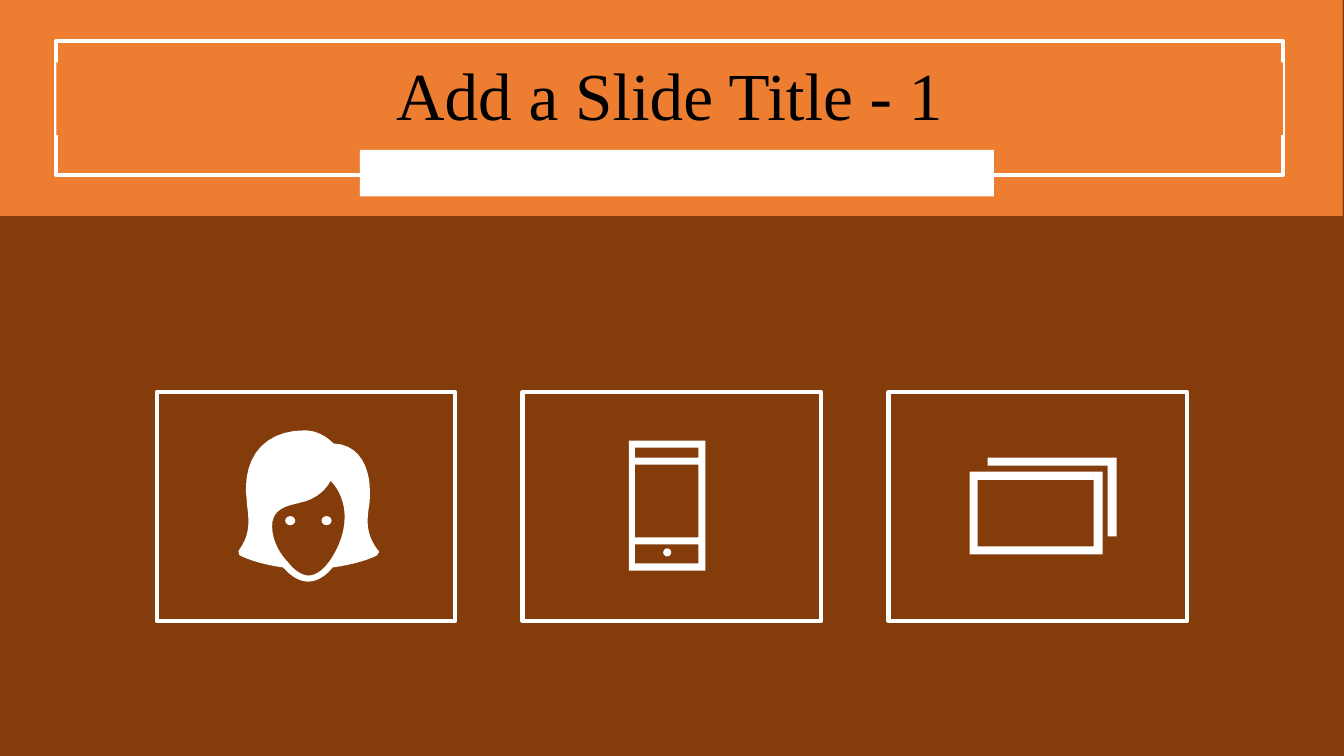
"""Build a title slide with three framed icons."""
import pptx
import pptx.util
import pptx.dml.color
import pptx.enum.shapes
import pptx.enum.text

Cm, Pt = pptx.util.Cm, pptx.util.Pt
SHAPE = pptx.enum.shapes.MSO_SHAPE

TITLE = "Add a Slide Title - 1"
FONT = "Times New Roman"
WHITE, BLACK, ORANGE, BROWN = "FFFFFF", "000000", "ED7D31", "843C0B"

BAND = (-0.02, 0, 33.86, 5.44)
BAR = (9.07, 3.78, 15.98, 1.17)
TITLE_FRAME = (1.42, 1.04, 30.91, 3.38)
TITLE_BOX = (1.42, 1.57, 30.91, 1.83)
CARD = (3.95, 9.88, 7.52, 5.77)
CARD_COUNT, CARD_PITCH = 3, 9.22

ICON_UNIT = 0.0254
CURVE_STEPS = 10
HAIR = [
    (302, 427),
    (266, 427, 244, 449, 244, 485), (244, 490, 245, 495, 245, 500),
    (247, 515, 249, 530, 237, 546), (237, 547, 236, 547, 237, 548),
    (237, 549, 237, 550, 238, 551), (238, 551, 252, 559, 281, 563),
    (289, 572, 297, 577, 306, 577), (314, 577, 323, 572, 330, 563),
    (360, 559, 374, 551, 374, 551), (375, 550, 375, 549, 376, 548),
    (376, 547, 376, 546, 375, 546), (363, 530, 364, 517, 366, 503),
    (367, 498, 367, 493, 367, 487), (367, 466, 358, 441, 331, 440),
    (320, 429, 309, 427, 302, 427),
]
FACE = [
    (328, 477),
    (333, 482, 342, 494, 342, 513), (342, 538, 326, 558, 326, 558),
    (320, 566, 313, 571, 306, 571), (300, 571, 292, 566, 286, 558),
    (286, 558, 270, 543, 270, 522), (270, 505, 284, 502, 297, 499),
    (299, 498, 302, 498, 304, 497), (318, 492, 325, 483, 328, 477),
]
DOTS = [(283, 512, 10, 9), (319, 512, 10, 9), (658, 544, 8, 8)]
PHONE = [(624, 437, 700, 566), (630, 444, 693, 454),
         (630, 461, 693, 533), (630, 540, 693, 559)]
FRONT_CARD = [(962, 468, 1094, 550), (970, 476, 1085, 542)]
BACK_CARD = [(1108, 532), (1099, 532), (1099, 462),
             (980, 462), (980, 454), (1108, 454)]


def rgb(color):
    return pptx.dml.color.RGBColor.from_string(color)


def style(sp, fill=None, line=None):
    sp.shadow.inherit = False
    if fill:
        sp.fill.solid()
        sp.fill.fore_color.rgb = rgb(fill)
    else:
        sp.fill.background()
    if line:
        sp.line.color.rgb = rgb(line)
        sp.line.width = Pt(3)
    else:
        sp.line.fill.background()


def add_box(s, box, shape=SHAPE.RECTANGLE, **look):
    style(s.shapes.add_shape(shape, *map(Cm, box)), **look)


def write(tf, text, font=FONT, size=48, color=BLACK):
    p = tf.paragraphs[0]
    p.alignment = pptx.enum.text.PP_ALIGN.CENTER
    p.line_spacing = 0.9
    r = p.add_run()
    r.text = text
    r.font.name, r.font.size = font, Pt(size)
    r.font.color.rgb = rgb(color)


def flatten(curves):
    points = [curves[0]]
    for x1, y1, x2, y2, x3, y3 in curves[1:]:
        x0, y0 = points[-1]
        for i in range(1, CURVE_STEPS + 1):
            t = i / CURVE_STEPS
            a, b, c, d = (1 - t) ** 3, 3 * t * (1 - t) ** 2, 3 * t * t * (1 - t), t ** 3
            points.append((a * x0 + b * x1 + c * x2 + d * x3,
                           a * y0 + b * y1 + c * y2 + d * y3))
    return points


def corners(x1, y1, x2, y2):
    return [(x1, y1), (x1, y2), (x2, y2), (x2, y1)]


def add_icon(s, contours):
    contours = [[(Cm(x * ICON_UNIT), Cm(y * ICON_UNIT)) for x, y in c] for c in contours]
    fb = s.shapes.build_freeform(*contours[0][0])
    for i, points in enumerate(contours):
        if i:
            fb.move_to(*points[0])
        fb.add_line_segments(points[1:], close=True)
    style(fb.convert_to_shape(), fill=WHITE)


def main():
    prs = pptx.Presentation()
    prs.slide_width, prs.slide_height = Cm(33.87), Cm(19.05)
    s = prs.slides.add_slide(prs.slide_layouts[5])
    s.background.fill.solid()
    s.background.fill.fore_color.rgb = rgb(BROWN)

    left, top, width, height = CARD
    for i in range(CARD_COUNT):
        add_box(s, (left + i * CARD_PITCH, top, width, height), line=WHITE)
    add_box(s, BAND, fill=ORANGE)
    add_box(s, BAR, fill=WHITE)
    add_box(s, TITLE_FRAME, line=WHITE)

    title = s.shapes.title
    title.left, title.top, title.width, title.height = map(Cm, TITLE_BOX)
    title.fill.solid()
    title.fill.fore_color.rgb = rgb(ORANGE)
    tf = title.text_frame
    tf.word_wrap = True
    tf.auto_size = pptx.enum.text.MSO_AUTO_SIZE.NONE
    tf.vertical_anchor = pptx.enum.text.MSO_ANCHOR.MIDDLE
    write(tf, TITLE)
    title.element.getparent().append(title.element)

    add_icon(s, [flatten(HAIR), flatten(FACE)])
    add_icon(s, [corners(*box) for box in PHONE])
    add_icon(s, [corners(*box) for box in FRONT_CARD])
    add_icon(s, [BACK_CARD])
    for dot in DOTS:
        add_box(s, [v * ICON_UNIT for v in dot], SHAPE.OVAL, fill=WHITE)
    prs.save("out.pptx")


if __name__ == "__main__":
    main()
